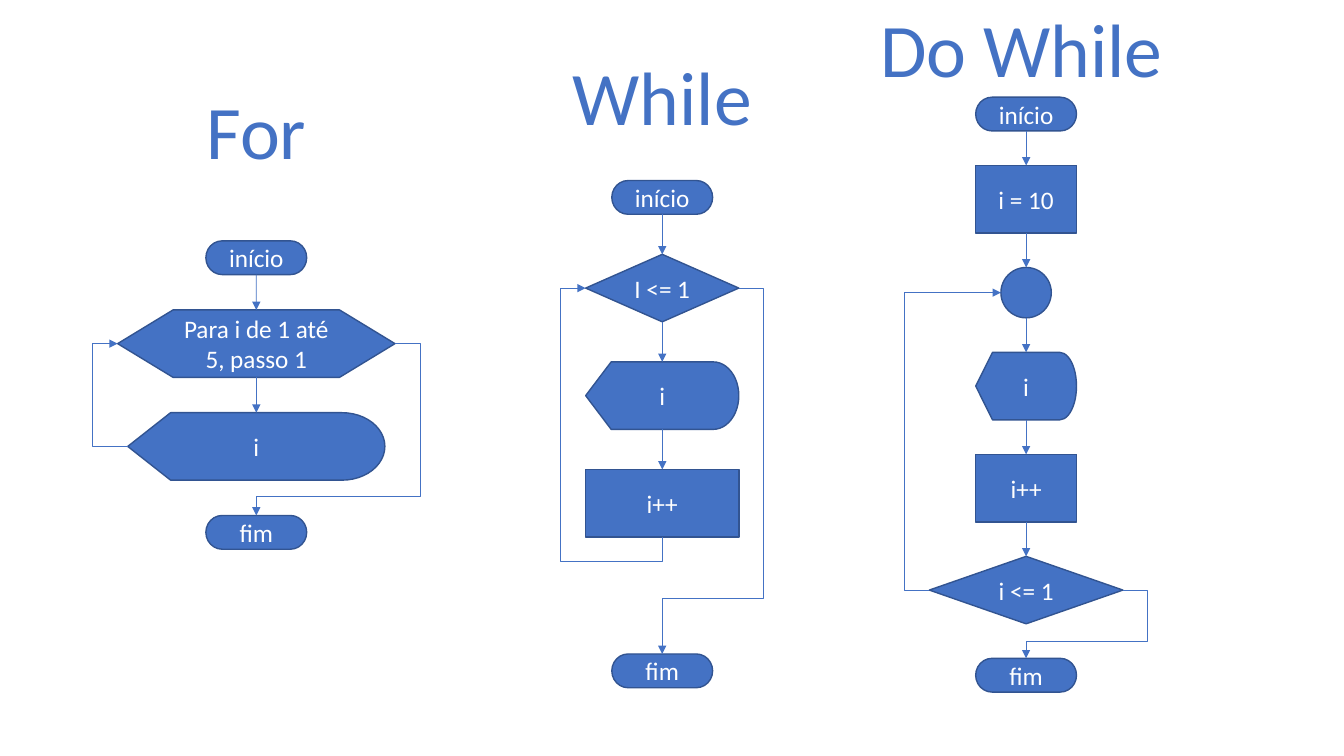
from dataclasses import dataclass
from pptx import Presentation
from pptx.dml.color import RGBColor
from pptx.enum.shapes import MSO_CONNECTOR, MSO_SHAPE
from pptx.enum.text import MSO_ANCHOR, MSO_AUTO_SIZE, PP_ALIGN
from pptx.oxml.ns import qn
from pptx.util import Cm, Pt
from lxml.etree import SubElement


@dataclass(frozen=True)
class Theme:
    blue: RGBColor = RGBColor(0x44, 0x72, 0xC4)
    edge: RGBColor = RGBColor(0x32, 0x54, 0x91)
    white: RGBColor = RGBColor(0xFF, 0xFF, 0xFF)
    font: str = "Calibri"
    title: int = 54
    body: int = 18
    border: float = 1
    wire: float = 0.5


THEME = Theme()
TOP, LEFT, BOTTOM, RIGHT = range(4)
LANE = 0.63  # distance from a box to the lane of a bent arrow

# kind: preset shape, height in cm
KINDS = {
    "term": (MSO_SHAPE.FLOWCHART_TERMINATOR, 0.85),
    "prep": (MSO_SHAPE.FLOWCHART_PREPARATION, 1.7),
    "show": (MSO_SHAPE.FLOWCHART_DISPLAY, 1.7),
    "test": (MSO_SHAPE.FLOWCHART_DECISION, 1.7),
    "step": (MSO_SHAPE.FLOWCHART_PROCESS, 1.7),
    "join": (MSO_SHAPE.FLOWCHART_CONNECTOR, 1.27),
}

# All lengths in cm. steps: kind, text, width.
# back: from step, side, to step. exit: step that leads to the end.
# drop: gap above the end box. lift: lane height above the end box.
CHARTS = [
    dict(
        title="For", head=(6.46, 1.98, 3.05),
        mid=6.46, top=6.07, gap=0.89, drop=0.89, lift=0.47,
        steps=[("term", "início", 2.54),
               ("prep", "Para i de 1 até 5, passo 1", 6.99),
               ("show", "i", 6.48),
               ("term", "fim", 2.54)],
        back=(2, LEFT, 1), exit=1),
    dict(
        title="While", head=(16.69, 1.14, 5.08),
        mid=16.69, top=4.55, gap=1.01, drop=2.95, lift=1.4,
        steps=[("term", "início", 2.54),
               ("test", "I <= 1", 3.86),
               ("show", "i", 3.86),
               ("step", "i++", 3.86),
               ("term", "fim", 2.54)],
        back=(3, BOTTOM, 1), exit=1),
    dict(
        title="Do While", head=(25.74, -0.08, 7.7),
        mid=25.86, top=2.45, gap=0.87, drop=0.87, lift=0.43,
        steps=[("term", "início", 2.54),
               ("step", "i = 10", 2.54),
               ("join", "", 1.27),
               ("show", "i", 2.54),
               ("step", "i++", 2.54),
               ("test", "i <= 1", 4.88),
               ("term", "fim", 2.54)],
        back=(5, LEFT, 2), exit=5),
]


def write(frame, text, size, color):
    frame.text = text
    para = frame.paragraphs[0]
    para.alignment = PP_ALIGN.CENTER
    for run in para.runs:
        run.font.name = THEME.font
        run.font.size = Pt(size)
        run.font.color.rgb = color


def add_box(group, kind, text, mid, top, width):
    preset, height = KINDS[kind]
    box = group.shapes.add_shape(
        preset, Cm(mid - width / 2), Cm(top), Cm(width), Cm(height))
    box.shadow.inherit = False
    box.fill.solid()
    box.fill.fore_color.rgb = THEME.blue
    box.line.color.rgb = THEME.edge
    box.line.width = Pt(THEME.border)
    if text:
        box.text_frame.word_wrap = True
        box.text_frame.vertical_anchor = MSO_ANCHOR.MIDDLE
        write(box.text_frame, text, THEME.body, THEME.white)
    return box


def add_arrow(group, src, out, dst, into, kind=MSO_CONNECTOR.STRAIGHT):
    """Join side `out` of src to side `into` of dst."""
    line = group.shapes.add_connector(kind, 0, 0, 0, 0)
    line.begin_connect(src, out)
    line.end_connect(dst, into)
    # A round joint has eight sites, so its sides are every second one.
    ends = line._element.nvCxnSpPr.cNvCxnSpPr
    for box, end in ((src, ends.stCxn), (dst, ends.endCxn)):
        if box.auto_shape_type == MSO_SHAPE.FLOWCHART_CONNECTOR:
            end.idx *= 2
    line.line.color.rgb = THEME.blue
    line.line.width = Pt(THEME.wire)
    props = line._element.spPr
    SubElement(props.find(qn("a:ln")), qn("a:tailEnd"), type="triangle")
    SubElement(props, qn("a:effectLst"))
    return line


def bend(line, *ratios):
    """Set the bends as shares of the way from begin to end."""
    geom = line._element.spPr.find(qn("a:prstGeom"))
    geom.set("prst", f"bentConnector{len(ratios) + 2}")
    stops = geom.find(qn("a:avLst"))
    for num, ratio in enumerate(ratios, 1):
        SubElement(stops, qn("a:gd"), name=f"adj{num}",
                   fmla=f"val {round(ratio * 100000)}")


def turn(line):
    """Rotate the frame by 90 degrees so that the arrow starts downwards."""
    wide, high = line.width, line.height
    right = line.end_x > line.begin_x
    up = line.end_y < line.begin_y
    line.left += (wide - high) // 2
    line.top += (high - wide) // 2
    line.width, line.height = high, wide
    frame = line._element.spPr.xfrm
    frame.flipH, frame.flipV = up, right
    frame.set("rot", str(90 * 60000))


def add_back(group, src, side, dst):
    line = add_arrow(group, src, side, dst, LEFT, MSO_CONNECTOR.ELBOW)
    lane = min(src.left, dst.left) - Cm(LANE)
    across = (lane - line.begin_x) / (line.end_x - line.begin_x)
    if side == LEFT:
        bend(line, across)
    else:
        bend(line, Cm(LANE) / (line.end_y - line.begin_y), across)
        turn(line)


def add_exit(group, src, dst, lift):
    line = add_arrow(group, src, RIGHT, dst, TOP, MSO_CONNECTOR.ELBOW)
    bend(line, Cm(LANE) / (line.end_x - line.begin_x),
         1 - Cm(lift) / (line.end_y - line.begin_y))


def add_chart(slide, chart):
    group = slide.shapes.add_group_shape()
    boxes, top, last = [], chart["top"], len(chart["steps"]) - 1
    for num, (kind, text, width) in enumerate(chart["steps"]):
        boxes.append(add_box(group, kind, text, chart["mid"], top, width))
        gap = chart["drop"] if num == last - 1 else chart["gap"]
        top += KINDS[kind][1] + gap
    for src, dst in zip(boxes[:-2], boxes[1:-1]):
        add_arrow(group, src, BOTTOM, dst, TOP)
    start, side, goal = chart["back"]
    add_back(group, boxes[start], side, boxes[goal])
    add_exit(group, boxes[chart["exit"]], boxes[-1], chart["lift"])


def add_title(slide, text, mid, top, width):
    frame = slide.shapes.add_textbox(
        Cm(mid - width / 2), Cm(top), Cm(width), Cm(2.57)).text_frame
    frame.word_wrap = False
    frame.auto_size = MSO_AUTO_SIZE.SHAPE_TO_FIT_TEXT
    write(frame, text, THEME.title, THEME.blue)


def main():
    deck = Presentation()
    deck.slide_width, deck.slide_height = Cm(33.87), Cm(19.05)
    slide = deck.slides.add_slide(deck.slide_layouts[6])
    for chart in CHARTS:
        add_chart(slide, chart)
    for chart in CHARTS:
        add_title(slide, chart["title"], *chart["head"])
    deck.save("out.pptx")


if __name__ == "__main__":
    main()
